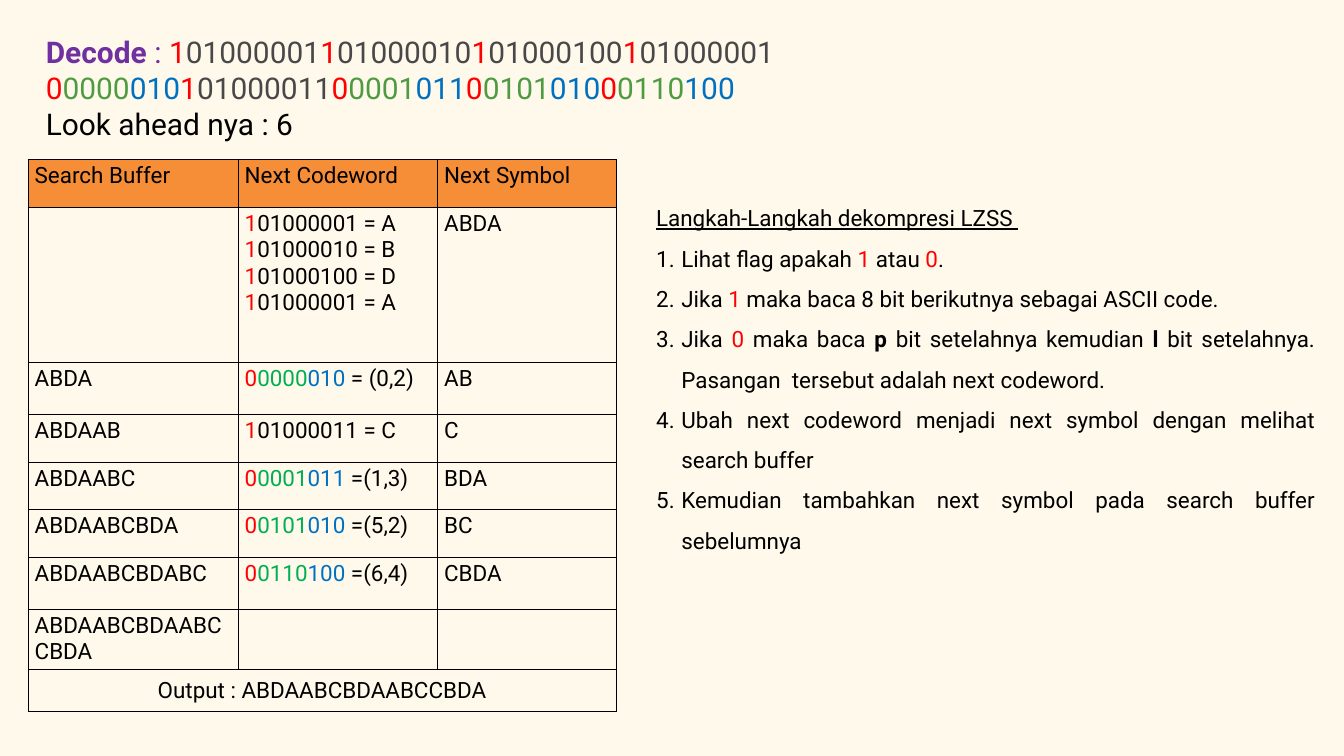
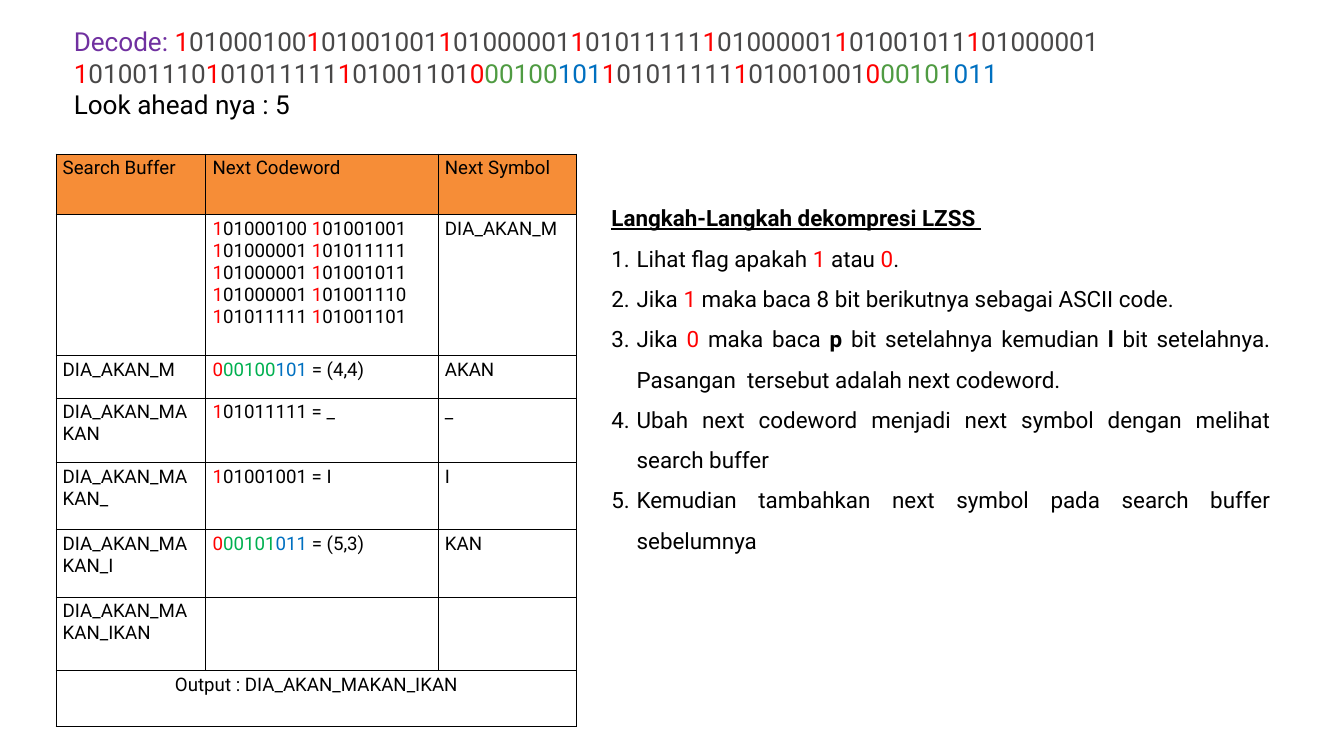
from lxml import etree
from pptx import Presentation
from pptx import util as u
from pptx.dml.color import RGBColor
from pptx.enum import text
from pptx.oxml.ns import qn

PX = 9525  # EMU per px, 96 px to the inch
FONT = "Roboto"
COLOURS = {
    "cream": "FFF9EC", "white": "FFFFFF", "ink": "000000", "orange": "F68D37",
    "violet": "7030A0", "flag": "FF0000", "grey": "494848",
    "moss": "4F9B42", "green": "00B050", "blue": "0070C0",
}
# Colours of literal, position and length bits
STREAM = ("grey", "moss", "blue")
CELL = ("ink", "green", "blue")
LENGTH_BITS = 3
ALIGN = text.PP_ALIGN


def rgb(name):
    return RGBColor.from_string(COLOURS[name])


def colour_codes(line, scheme, gap=" "):
    """Split a line into (text, colour) runs, colouring flag, position and length bits."""
    literal, position, length = scheme
    runs = []
    for word in line.split():
        if len(word) < 8 or set(word) - {"0", "1"}:
            parts = [(word, "ink")]
        elif word[0] == "1":
            parts = [("1", "flag"), (word[1:], literal)]
        else:
            parts = [("0", "flag"), (word[1:-LENGTH_BITS], position),
                     (word[-LENGTH_BITS:], length)]
        if runs:
            runs[-1] = (runs[-1][0] + gap, runs[-1][1])
        for bits, colour in parts:
            if runs and runs[-1][1] == colour:
                bits = runs.pop()[0] + bits
            runs.append((bits, colour))
    return runs


def stream(line):
    return colour_codes(line, STREAM, gap="")


class Deck:
    def __init__(self, width, height):
        self.prs = Presentation()
        self.prs.slide_width, self.prs.slide_height = width * PX, height * PX
        self.slide = None

    def new_slide(self, background):
        self.slide = self.prs.slides.add_slide(self.prs.slide_layouts[6])
        fill = self.slide.background.fill
        fill.solid()
        fill.fore_color.rgb = rgb(background)

    def set_runs(self, paragraph, runs, size, align=None, bold=None, underline=None):
        """Fill a paragraph with (text, colour[, bold]) runs; ink is the default colour."""
        paragraph.alignment = align
        font = paragraph.font
        font.name, font.size = FONT, u.Pt(size)
        font.bold, font.underline = bold, underline
        font.color.rgb = rgb("ink")
        for words, colour, *strong in runs:
            run = paragraph.add_run()
            run.text = words
            if colour != "ink":
                run.font.color.rgb = rgb(colour)
            if strong:
                run.font.bold = True

    def text_box(self, left, top, width, height):
        box = self.slide.shapes.add_textbox(left * PX, top * PX, width * PX, height * PX)
        box.text_frame.word_wrap = True
        box.text_frame.auto_size = text.MSO_AUTO_SIZE.SHAPE_TO_FIT_TEXT
        return box.text_frame

    def task(self, place, size, code_lines, look_ahead):
        frame = self.text_box(*place)
        for i, runs in enumerate(code_lines):
            paragraph = frame.add_paragraph() if i else frame.paragraphs[0]
            self.set_runs(paragraph, runs, size, ALIGN.JUSTIFY)
        self.set_runs(frame.add_paragraph(), [(f"Look ahead nya : {look_ahead}", "ink")], size)

    def number(self, paragraph, indent=36):
        props = paragraph._p.get_or_add_pPr()
        props.set("marL", str(indent * PX))
        props.set("indent", str(-indent * PX))
        colour = etree.SubElement(props, qn("a:buClr"))
        etree.SubElement(colour, qn("a:srgbClr"), val=COLOURS["ink"])
        etree.SubElement(props, qn("a:buAutoNum"), type="arabicPeriod")

    def steps(self, left, bold_heading=None):
        frame = self.text_box(left, 268, 960, 526)
        heading = frame.paragraphs[0]
        heading.line_spacing = 1.5
        self.set_runs(heading, [("Langkah-Langkah dekompresi LZSS ", "ink")], 24,
                      bold=bold_heading, underline=True)
        for runs in STEPS:
            step = frame.add_paragraph()
            step.line_spacing = 1.5
            self.number(step)
            self.set_runs(step, runs, 24, ALIGN.JUSTIFY)

    def border(self, cell):
        props = cell._tc.get_or_add_tcPr()
        for side in ("a:lnL", "a:lnR", "a:lnT", "a:lnB"):
            line = etree.SubElement(props, qn(side), w=str(u.Pt(1)))
            fill = etree.SubElement(line, qn("a:solidFill"))
            etree.SubElement(fill, qn("a:srgbClr"), val=COLOURS["ink"])

    def trace_table(self, left, top, widths, heights, size, rows, output_anchor):
        """Draw the decoding trace; the last row is the output across all columns."""
        table = self.slide.shapes.add_table(
            len(heights), len(widths), left * PX, top * PX,
            sum(widths) * PX, sum(heights) * PX).table
        table.first_row = table.horz_banding = False
        for column, width in zip(table.columns, widths):
            column.width = width * PX
        for row, height in zip(table.rows, heights):
            row.height = height * PX
        last = len(heights) - 1
        output = table.cell(last, 0)
        output.merge(table.cell(last, len(widths) - 1))
        output.vertical_anchor = output_anchor

        for r, values in enumerate([HEADINGS, *rows]):
            for c, value in enumerate(values):
                cell = table.cell(r, c)
                self.border(cell)
                if r == 0:
                    cell.fill.solid()
                    cell.fill.fore_color.rgb = rgb("orange")
                else:
                    cell.fill.background()
                for i, line in enumerate(value.split("\n")):
                    frame = cell.text_frame
                    paragraph = frame.add_paragraph() if i else frame.paragraphs[0]
                    self.set_runs(paragraph, colour_codes(line, CELL), size,
                                  ALIGN.CENTER if r == last else None)


HEADINGS = ("Search Buffer", "Next Codeword", "Next Symbol")
STEPS = [
    [("Lihat flag apakah ", "ink"), ("1 ", "flag"), ("atau ", "ink"), ("0", "flag"),
     (".", "ink")],
    [("Jika ", "ink"), ("1 ", "flag"),
     ("maka baca 8 bit berikutnya sebagai ASCII code.", "ink")],
    [("Jika ", "ink"), ("0 ", "flag"), ("maka baca ", "ink"), ("p", "ink", True),
     (" bit setelahnya kemudian ", "ink"), ("l", "ink", True),
     (" bit setelahnya. Pasangan  tersebut adalah next codeword. ", "ink")],
    [("Ubah next codeword menjadi next symbol dengan melihat search buffer ", "ink")],
    [("Kemudian tambahkan next symbol pada search buffer sebelumnya", "ink")],
]
ABDA_ROWS = [
    ("", "101000001 = A\n101000010 = B\n101000100 = D 101000001 = A", "ABDA"),
    ("ABDA", "00000010 = (0,2)", "AB"),
    ("ABDAAB", "101000011 = C", "C"),
    ("ABDAABC", "00001011 =(1,3)", "BDA"),
    ("ABDAABCBDA", "00101010 =(5,2)", "BC"),
    ("ABDAABCBDABC", "00110100 =(6,4)", "CBDA"),
    ("ABDAABCBDAABCCBDA", "", ""),
    ("Output : ABDAABCBDAABCCBDA", "", ""),
]
DIA_ROWS = [
    ("", "101000100 101001001 101000001 101011111 101000001 "
         "101001011 101000001 101001110 101011111 101001101", "DIA_AKAN_M"),
    ("DIA_AKAN_M", "000100101 = (4,4)", "AKAN"),
    ("DIA_AKAN_MAKAN", "101011111 = _", "_"),
    ("DIA_AKAN_MAKAN_", "101001001 = I", "I"),
    ("DIA_AKAN_MAKAN_I", "000101011 = (5,3)", "KAN"),
    ("DIA_AKAN_MAKAN_IKAN", "", ""),
    ("Output : DIA_AKAN_MAKAN_IKAN", "", ""),
]


def abda_slide(deck):
    deck.new_slide("cream")
    deck.task((56, 44, 1832, 165), 32, [
        [("Decode", "violet", True), (" : ", "violet"),
         *stream("101000001 101000010 101000100 101000001")],
        stream("00000010 101000011 00001011 00101010 00110100"),
    ], look_ahead=6)
    deck.trace_table(40, 228, (300, 285, 255), (68, 222, 74, 68, 68, 68, 74, 74, 60),
                     24, ABDA_ROWS, text.MSO_ANCHOR.MIDDLE)
    deck.steps(928)


def dia_slide(deck):
    deck.new_slide("white")
    deck.task((96, 32, 1632, 145), 28, [
        [("Decode:\t", "violet"),
         *stream("101000100 101001001 101000001 101011111 101000001 101001011 101000001"),
         (" ", "grey"),
         *stream("101001110 101011111 101001101 000100101 101011111 101001001 000101011")],
    ], look_ahead=5)
    deck.trace_table(80, 220, (214, 332, 198), (87, 201, 61, 92, 96, 96, 105, 80),
                     20, DIA_ROWS, text.MSO_ANCHOR.TOP)
    deck.steps(864, bold_heading=True)


def main():
    deck = Deck(1920, 1080)
    abda_slide(deck)
    dia_slide(deck)
    deck.prs.save("out.pptx")


if __name__ == "__main__":
    main()
